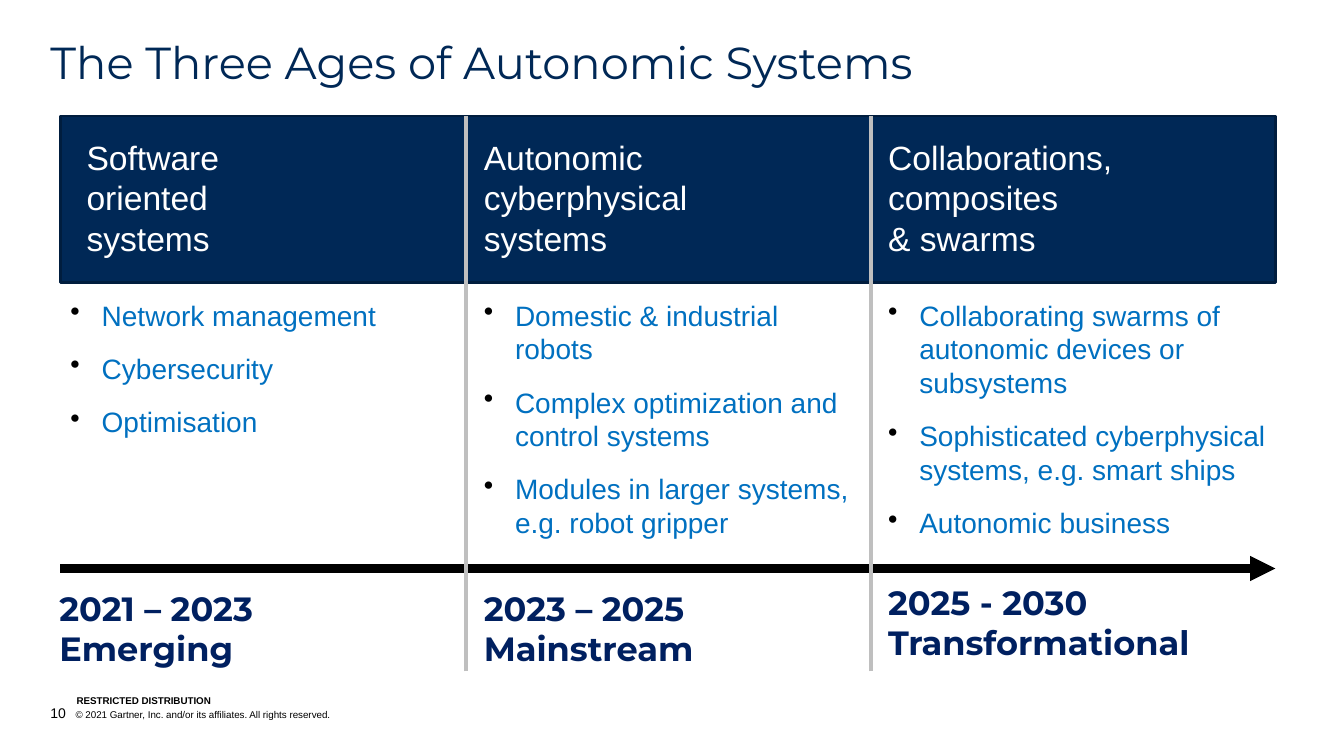
from dataclasses import dataclass

from lxml import etree
from pptx import Presentation
from pptx.dml.color import RGBColor
from pptx.enum.shapes import MSO_CONNECTOR, MSO_SHAPE
from pptx.enum.text import MSO_ANCHOR, PP_ALIGN
from pptx.oxml.ns import qn
from pptx.util import Inches, Pt

STRAIGHT = MSO_CONNECTOR.STRAIGHT
RECTANGLE = MSO_SHAPE.RECTANGLE
TOP, BOTTOM = MSO_ANCHOR.TOP, MSO_ANCHOR.BOTTOM
LEFT = PP_ALIGN.LEFT

NAVY = RGBColor(0x00, 0x28, 0x56)
NAVY_EDGE = RGBColor(0x00, 0x1D, 0x3E)
PERIOD_BLUE = RGBColor(0x00, 0x20, 0x60)
BULLET_BLUE = RGBColor(0x00, 0x70, 0xC0)
GREY = RGBColor(0xBF, 0xBF, 0xBF)
BLACK = RGBColor(0x00, 0x00, 0x00)
WHITE = RGBColor(0xFF, 0xFF, 0xFF)

BODY_FONT, DISPLAY_FONT = "Arial", "Montserrat"
BAND_LEFT, BAND_RIGHT, BAND_TOP = 0.6, 12.65, 1.15
DIVIDER_BOTTOM = 6.66
TIMELINE_Y = 5.64

Box = tuple[float, float, float, float]


@dataclass(frozen=True)
class Age:
    heading: str
    heading_box: Box
    examples: list[str]
    examples_box: Box
    period: list[str]
    period_box: Box


AGES = [
    Age("Software \voriented \vsystems", (0.76, 1.31, 3.62, 1.31),
        ["Network management", "Cybersecurity", "Optimisation"],
        (0.6, 2.91, 3.78, 2.04),
        ["2021 – 2023", "Emerging"], (0.49, 5.78, 2.39, 0.91)),
    Age("Autonomic cyberphysical \vsystems", (4.7, 1.31, 3.78, 1.31),
        ["Domestic & industrial robots",
         "Complex optimization and control systems",
         "Modules in larger systems, e.g. robot gripper"],
        (4.7, 2.91, 3.86, 3.05),
        ["2023 – 2025", "Mainstream"], (4.7, 5.78, 2.39, 0.91)),
    Age("Collaborations, composites \v& swarms", (8.71, 1.31, 3.78, 1.31),
        ["Collaborating swarms of autonomic devices or subsystems",
         "Sophisticated cyberphysical systems, e.g. smart ships",
         "Autonomic business"],
        (8.71, 2.91, 4.17, 3.05),
        ["2025 - 2030", "Transformational"], (8.71, 5.72, 3.36, 0.91)),
]


def place(shape, box: Box) -> None:
    shape.left, shape.top, shape.width, shape.height = map(Inches, box)


def set_indent(paragraph, hanging: float) -> None:
    properties = paragraph._p.get_or_add_pPr()
    properties.set("marL", str(Inches(hanging)))
    properties.set("indent", str(-Inches(hanging)))


def add_bullet(paragraph) -> None:
    properties = paragraph._p.get_or_add_pPr()
    bullet_color = etree.SubElement(properties, qn("a:buClr"))
    etree.SubElement(bullet_color, qn("a:srgbClr"), val=str(BLACK))
    etree.SubElement(properties, qn("a:buChar"), char="•")


def style_run(run, size: float, font: str, color: RGBColor, bold: bool = False) -> None:
    run.font.size = Pt(size)
    run.font.name = font
    run.font.bold = bold
    run.font.color.rgb = color


def write_text(shape, lines: list[str], *, size: float, font: str = BODY_FONT,
               color: RGBColor = BLACK, bold: bool = False, inset: bool = True,
               anchor=TOP, line_spacing: float = 1.0, space_before: float = 0,
               hanging: float = 0, bullets: bool = False) -> None:
    frame = shape.text_frame
    frame.word_wrap = True
    frame.vertical_anchor = anchor
    frame.margin_left = frame.margin_right = Inches(0.1 if inset else 0)
    frame.margin_top = frame.margin_bottom = Inches(0.05 if inset else 0)
    for index, line in enumerate(lines):
        paragraph = frame.paragraphs[0] if index == 0 else frame.add_paragraph()
        if hanging:
            set_indent(paragraph, hanging)
        if bullets:
            add_bullet(paragraph)
        paragraph.alignment = LEFT
        paragraph.line_spacing = line_spacing
        paragraph.space_before = Pt(space_before if index else 0)
        paragraph.text = line
        for run in paragraph.runs:
            style_run(run, size, font, color, bold)


def add_text(slide, box: Box, lines: list[str], **text_format):
    text_box = slide.shapes.add_textbox(*map(Inches, box))
    write_text(text_box, lines, **text_format)
    return text_box


def add_line(slide, start: tuple[float, float], end: tuple[float, float],
             color: RGBColor, width: float, arrow: bool = False) -> None:
    connector = slide.shapes.add_connector(STRAIGHT, *map(Inches, start + end))
    connector.line.color.rgb = color
    connector.line.width = Pt(width)
    if arrow:
        etree.SubElement(connector.line._get_or_add_ln(), qn("a:tailEnd"), type="triangle")
    etree.SubElement(connector._element.spPr, qn("a:effectLst"))


def add_footer(slide) -> None:
    add_text(slide, (0.76, 6.9, 2.53, 0.11), ["RESTRICTED DISTRIBUTION"],
             size=7, bold=True, inset=False, anchor=BOTTOM, line_spacing=0.9)
    page_line = add_text(slide, (0.5, 6.99, 7.99, 0.17), ["10"],
                         size=10, inset=False, anchor=BOTTOM, hanging=0.25)
    copyright_run = page_line.text_frame.paragraphs[0].add_run()
    copyright_run.text = "\t© 2021 Gartner, Inc. and/or its affiliates. All rights reserved."
    style_run(copyright_run, 7, BODY_FONT, BLACK)


def add_header_band(slide) -> None:
    band = slide.shapes.add_shape(RECTANGLE, *map(
        Inches, (BAND_LEFT, BAND_TOP, BAND_RIGHT - BAND_LEFT, 1.65)))
    band.shadow.inherit = False
    band.fill.solid()
    band.fill.fore_color.rgb = NAVY
    band.line.color.rgb = NAVY_EDGE
    band.line.width = Pt(2)


def add_age(slide, age: Age) -> None:
    add_text(slide, age.heading_box, [age.heading], size=24, color=WHITE)
    add_text(slide, age.period_box, age.period, size=24,
             font=DISPLAY_FONT, color=PERIOD_BLUE, bold=True)
    add_text(slide, age.examples_box, age.examples, size=20, color=BULLET_BLUE,
             space_before=14, hanging=0.31, bullets=True)


def main() -> None:
    deck = Presentation()
    deck.slide_width, deck.slide_height = Inches(13.33), Inches(7.5)
    slide = deck.slides.add_slide(deck.slide_layouts[5])

    # Title
    title = slide.shapes.title
    place(title, (0.5, 0.4, 12.33, 0.49))
    write_text(title, ["The Three Ages of Autonomic Systems"], size=32,
               font=DISPLAY_FONT, color=NAVY, inset=False, line_spacing=0.9)

    # Footer, header band and timeline
    add_footer(slide)
    add_header_band(slide)
    add_line(slide, (BAND_LEFT, TIMELINE_Y), (BAND_RIGHT, TIMELINE_Y), BLACK, 6, arrow=True)

    # Column dividers
    for divider_x in (4.62, 8.64):
        add_line(slide, (divider_x, DIVIDER_BOTTOM), (divider_x, BAND_TOP), GREY, 3)

    # The three ages
    for age in AGES:
        add_age(slide, age)

    deck.save("out.pptx")


if __name__ == "__main__":
    main()
